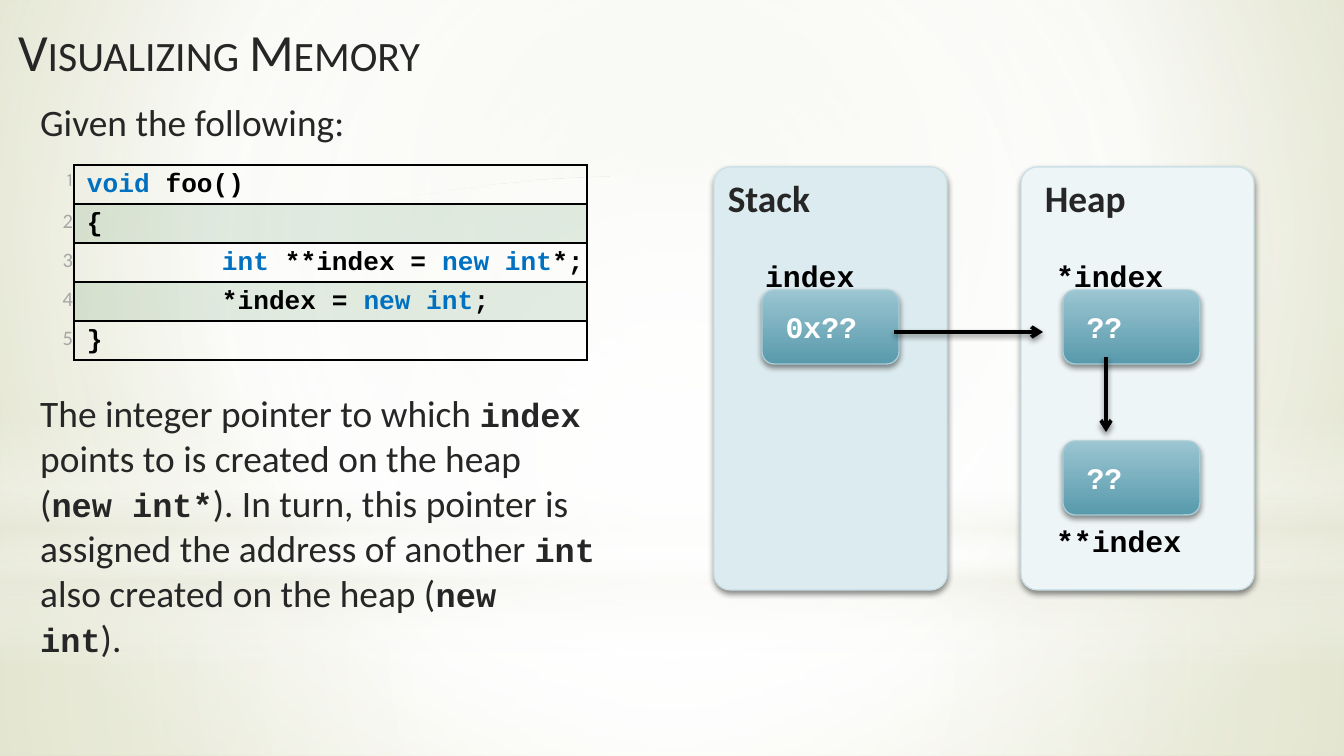
import pptx
import pptx.util
from lxml import etree
from pptx.dml.color import RGBColor
from pptx.enum.shapes import MSO_CONNECTOR, MSO_SHAPE
from pptx.enum.text import MSO_ANCHOR, PP_ALIGN
from pptx.oxml.ns import qn

PX = 914400 / 134.4

WHITE = RGBColor(0xFF, 0xFF, 0xFF)
BLACK = RGBColor(0x00, 0x00, 0x00)
INK = RGBColor(0x26, 0x26, 0x26)
GREY = RGBColor(0xA6, 0xA6, 0xA6)
KEYWORD = RGBColor(0x00, 0x70, 0xC0)
BAND = RGBColor(0x72, 0xA3, 0x76)
CREAM = RGBColor(0xEA, 0xEB, 0xDE)
SAND = RGBColor(0xE3, 0xE5, 0xD1)
OLIVE = RGBColor(0xCC, 0xD0, 0x9F)
STACK_FILL = RGBColor(0xDC, 0xEB, 0xEF)
HEAP_FILL = RGBColor(0xEE, 0xF5, 0xF7)
PANEL_LINE = RGBColor(0xCB, 0xE1, 0xE7)
NODE_TOP = RGBColor(0x9B, 0xC5, 0xD1)
NODE_BOTTOM = RGBColor(0x58, 0x9A, 0xAC)
NODE_LINE = RGBColor(0xA8, 0xCD, 0xD7)

SANS, MONO = "Calibri", "Courier New"
CENTRE = (50, 50, 50, 50)


def emu(*lengths):
    return [pptx.util.Emu(round(n * PX)) for n in lengths]


def sub(parent, tag, **attrs):
    return etree.SubElement(parent, qn(tag), {k: str(v) for k, v in attrs.items()})


def add_colour(parent, colour, alpha=100):
    clr = sub(parent, "a:srgbClr", val=colour)
    if alpha < 100:
        sub(clr, "a:alpha", val=alpha * 1000)


def set_gradient(fill, element, stops, focus=None):
    """Fill with (position, colour, alpha) stops: circular around focus, else downwards."""
    fill.gradient()
    grad = next(element.iter(qn("a:gradFill")))
    for child in list(grad):
        grad.remove(child)
    gs_list = sub(grad, "a:gsLst")
    for pos, colour, alpha in stops:
        add_colour(sub(gs_list, "a:gs", pos=pos * 1000), colour, alpha)
    if focus:
        rect = dict(zip("ltrb", (n * 1000 for n in focus)))
        sub(sub(grad, "a:path", path="circle"), "a:fillToRect", **rect)
    else:
        sub(grad, "a:lin", ang=5400000, scaled=0)


def add_shadow(effects):
    shadow = sub(effects, "a:outerShdw", blurRad=40000, dist=23000, dir=5400000,
                 rotWithShape=0)
    add_colour(shadow, BLACK, 45)


def add_run(p, text, size, font=SANS, colour=INK, bold=False):
    r = p.add_run()
    r.text = text
    r.font.size = pptx.util.Pt(size)
    r.font.name = font
    r.font.bold = bold
    r.font.color.rgb = colour
    return r


def add_text_box(s, box, anchor=MSO_ANCHOR.TOP):
    tf = s.shapes.add_textbox(*emu(*box)).text_frame
    tf.word_wrap = True
    tf.vertical_anchor = anchor
    return tf.paragraphs[0]


def add_card(s, box, line, anchor, inset):
    """Shadowed rounded rectangle with left-aligned text."""
    sp = s.shapes.add_shape(MSO_SHAPE.ROUNDED_RECTANGLE, *emu(*box))
    sp.line.color.rgb = line
    sp.line.width = pptx.util.Pt(0.75)
    sp.shadow.inherit = False
    add_shadow(next(sp.element.iter(qn("a:effectLst"))))
    tf = sp.text_frame
    tf.word_wrap = True
    tf.vertical_anchor = anchor
    tf.margin_left, tf.margin_top, tf.margin_bottom = emu(inset, 3, 3)
    tf.paragraphs[0].alignment = PP_ALIGN.LEFT
    return sp, tf.paragraphs[0]


def add_backdrop(s, box):
    x, y, w, h = box
    set_gradient(s.background.fill, s.element,
                 [(0, SAND, 100), (60, WHITE, 100), (100, OLIVE, 100)], (20, 10, 20, 60))
    rect, oval = MSO_SHAPE.RECTANGLE, MSO_SHAPE.OVAL
    for shape, top, height, stops, focus in [
        (rect, 563, h - 563, [(0, WHITE, 91), (37, WHITE, 76), (100, CREAM, 79)], CENTRE),
        (rect, 0, 563, [(0, WHITE, 89), (48, WHITE, 62), (100, CREAM, 79)], CENTRE),
        (rect, 415, 253, [(0, WHITE, 0), (29, WHITE, 30), (45, CREAM, 40),
                          (55, WHITE, 26), (65, CREAM, 60), (100, WHITE, 0)], None),
        (oval, 176, 563, [(0, WHITE, 100), (56, WHITE, 0)], CENTRE),
    ]:
        sp = s.shapes.add_shape(shape, *emu(x, y + top, w, height))
        sp.shadow.inherit = False
        sp.line.fill.background()
        set_gradient(sp.fill, sp.element, stops, focus)


def add_title(s, box, text):
    r = add_run(add_text_box(s, box, MSO_ANCHOR.MIDDLE), text, 28)
    r.font._element.set("cap", "small")


def add_prose(s, box, parts):
    """Paragraph whose odd parts are inline code."""
    p = add_text_box(s, box)
    for i, text in enumerate(parts):
        if i % 2:
            add_run(p, text, 18, MONO, bold=True)
        else:
            add_run(p, text, 20)


def set_borders(cell, black_sides):
    tc_pr = cell._tc.get_or_add_tcPr()
    for side in "LRTB":
        ln = sub(tc_pr, "a:ln" + side, w=12700)
        if side in black_sides:
            add_colour(sub(ln, "a:solidFill"), BLACK)
        else:
            sub(ln, "a:noFill")


def add_code_table(s, box, lines):
    """Numbered listing; each line is (indent, runs of (text, colour))."""
    table = s.shapes.add_table(len(lines), 2, *emu(*box)).table
    table.first_row = table.horz_banding = False
    table.columns[0].width, table.columns[1].width = emu(79, box[2] - 79)
    for i, (indent, runs) in enumerate(lines):
        number, code = table.cell(i, 0), table.cell(i, 1)
        for cell, sides in ((number, "R"), (code, "LRTB")):
            cell.margin_left, cell.margin_right = emu(1, 1)
            cell.margin_top, cell.margin_bottom = emu(1, 1)
            set_borders(cell, sides)
            cell.fill.background()
            cell.text_frame.paragraphs[0].line_spacing = 1.15
        p = number.text_frame.paragraphs[0]
        p.alignment = PP_ALIGN.RIGHT
        add_run(p, str(i + 1), 11 if i else 10, SANS if i else "Karla", GREY)
        p = code.text_frame.paragraphs[0]
        p._p.get_or_add_pPr().set("marL", str(emu(indent)[0]))
        for text, colour in runs:
            add_run(p, text, 14, MONO, colour, True)
        if i % 2:
            code.fill.solid()
            code.fill.fore_color.rgb = BAND
            sub(next(code._tc.tcPr.find(qn("a:solidFill")).iter(qn("a:srgbClr"))),
                "a:alpha", val=20000)


def add_panel(s, box, name, fill, inset, nodes):
    """Memory region; each node is (top, value, label, label top)."""
    x, y, w, h = box
    sp, p = add_card(s, box, PANEL_LINE, MSO_ANCHOR.TOP, inset)
    sp.adjustments[0] = 0.07
    sp.fill.solid()
    sp.fill.fore_color.rgb = fill
    add_run(p, name, 20, bold=True)
    node_x = x + (w - 137) // 2 - 6 * (name == "Heap")
    label_x = node_x - 10 - 10 * (name == "Heap") + 0
    for top, value, label, label_top in nodes:
        sp, p = add_card(s, (node_x, y + top, 137, 74), NODE_LINE, MSO_ANCHOR.MIDDLE, 20)
        set_gradient(sp.fill, sp.element, [(0, NODE_TOP, 100), (100, NODE_BOTTOM, 100)])
        add_run(p, value, 16, MONO, WHITE, True)
        p = add_text_box(s, (label_x, y + label_top, 169, 50))
        add_run(p, label, 16, MONO, BLACK, True)


def add_arrow(s, x1, y1, x2, y2):
    c = s.shapes.add_connector(MSO_CONNECTOR.STRAIGHT, *emu(x1, y1, x2, y2))
    c.line.color.rgb = BLACK
    c.line.width = pptx.util.Pt(2)
    sub(c.line._get_or_add_ln(), "a:tailEnd", type="arrow")
    add_shadow(sub(c.element.spPr, "a:effectLst"))


def main():
    prs = pptx.Presentation()
    prs.slide_width, prs.slide_height = emu(1344, 756)
    s = prs.slides.add_slide(prs.slide_layouts[6])
    add_backdrop(s, (0, 0, 1344, 756))
    add_title(s, (5, 8, 719, 85), "Visualizing Memory")
    add_prose(s, (27, 93, 582, 60), ["Given the following:"])
    add_code_table(s, (-5, 165, 592, 195), [
        (12, [("void ", KEYWORD), ("foo()", BLACK)]),
        (12, [("{", BLACK)]),
        (147, [("int ", KEYWORD), ("**index = ", BLACK), ("new int", KEYWORD), ("*;", BLACK)]),
        (147, [("*index = ", BLACK), ("new int", KEYWORD), (";", BLACK)]),
        (12, [("}", BLACK)]),
    ])
    add_prose(s, (27, 384, 582, 288), [
        "The integer pointer to which ", "index", " points to is created on the heap (",
        "new int*", "). In turn, this pointer is assigned the address of another ", "int",
        " also created on the heap (", "new int", ").",
    ])
    add_panel(s, (714, 167, 233, 423), "Stack", STACK_FILL, 9,
              [(123, "0x??", "index", 84)])
    add_panel(s, (1021, 167, 233, 423), "Heap", HEAP_FILL, 19,
              [(123, "??", "*index", 84), (274, "??", "**index", 349)])
    add_arrow(s, 894, 332, 1043, 332)
    add_arrow(s, 1106, 357, 1106, 432)
    prs.save("out.pptx")


if __name__ == "__main__":
    main()
